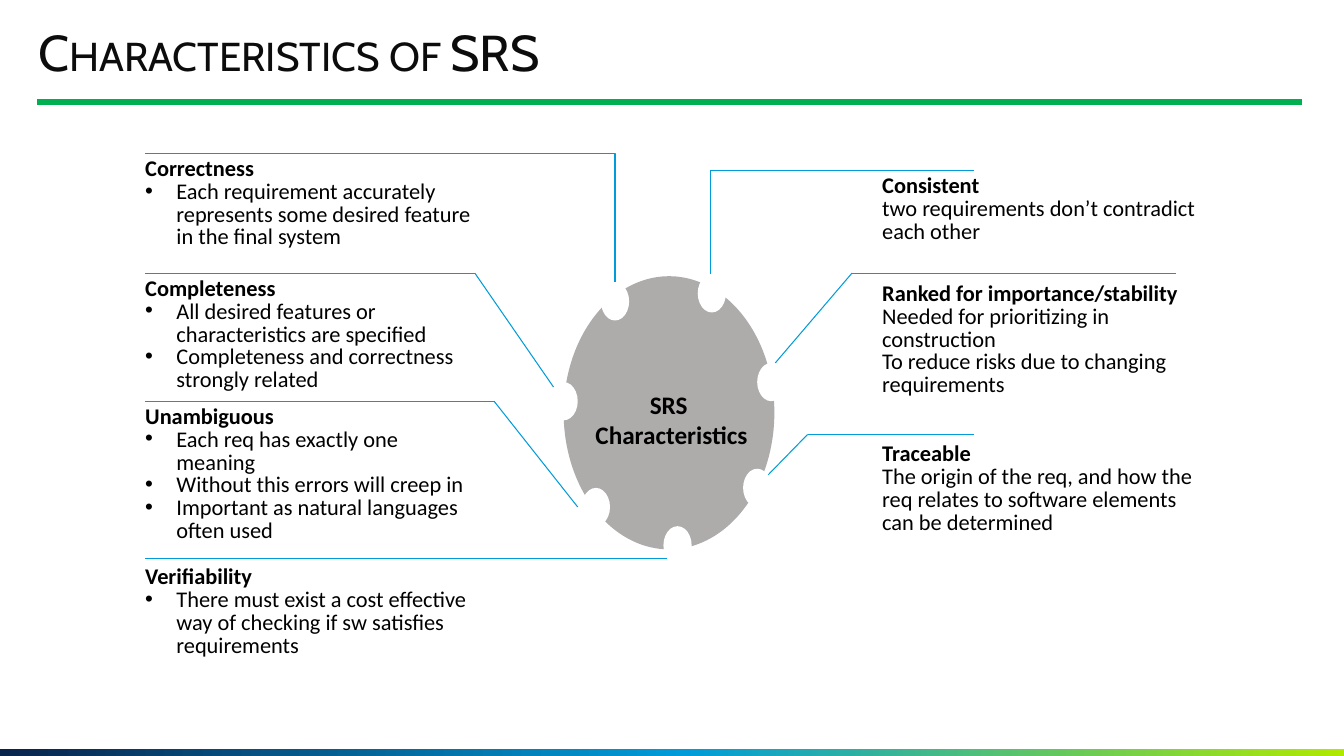
from itertools import pairwise

from lxml.etree import SubElement
from pptx import Presentation
from pptx.dml.color import RGBColor
from pptx.enum.shapes import MSO_CONNECTOR as LINE, MSO_SHAPE as SHAPE
from pptx.enum.text import MSO_ANCHOR as ANCHOR, MSO_AUTO_SIZE as FIT, PP_ALIGN as ALIGN
from pptx.oxml.ns import qn
from pptx.util import Inches, Pt

COLORS = {"title": "0C0C0C", "text": "000000", "rule": "00B050", "line": "009CDA",
          "hub": "AEABAB", "white": "FFFFFF", "navy": "09244C", "lime": "B0E900"}


class SlideBuilder:
    """Holds the style and the current slide."""

    def __init__(self, prs):
        """Add a title-only slide to the presentation."""
        self.font = "Calibri"
        self.colors = COLORS
        self.s = prs.slides.add_slide(prs.slide_layouts[5])

    def rgb(self, name):
        """Return a named colour."""
        return RGBColor.from_string(self.colors[name])

    def run(self, p, text, size, bold=False, color="text", font=None):
        """Add one styled run to a paragraph."""
        r = p.add_run()
        r.text = text
        r.font.size = Pt(size)
        r.font.bold = bold
        r.font.name = font or self.font
        r.font.color.rgb = self.rgb(color)
        return r

    def title(self, text, x, y, w, h):
        """Place the title in small capitals."""
        sp = self.s.shapes.title
        sp.left, sp.top, sp.width, sp.height = map(Inches, (x, y, w, h))
        tf = sp.text_frame
        tf.margin_left = tf.margin_right = tf.margin_top = tf.margin_bottom = 0
        tf.vertical_anchor = ANCHOR.MIDDLE
        tf.word_wrap = True
        tf.auto_size = FIT.SHAPE_TO_FIT_TEXT
        p = tf.paragraphs[0]
        p.alignment = ALIGN.LEFT
        p.line_spacing = 0.9
        r = self.run(p, text, 36, color="title", font="Cabin")
        r.font._element.set("cap", "small")

    def shape(self, kind, x, y, w, h, color):
        """Add a plain filled shape."""
        sp = self.s.shapes.add_shape(kind, *map(Inches, (x, y, w, h)))
        sp.shadow.inherit = False
        sp.line.fill.background()
        sp.fill.solid()
        sp.fill.fore_color.rgb = self.rgb(color)
        return sp

    def gradient_bar(self, x, y, w, h, stops):
        """Add a bar with a horizontal gradient."""
        sp = self.shape(SHAPE.RECTANGLE, x, y, w, h, "line")
        sp.fill.gradient()
        sp.fill.gradient_angle = 0
        gs_list = sp._element.spPr.find(".//" + qn("a:gsLst"))
        gs_list.clear()
        for percent, color in stops:
            gs = SubElement(gs_list, qn("a:gs"), pos=str(percent * 1000))
            SubElement(gs, qn("a:srgbClr"), val=self.colors[color])

    def connector(self, start, end, color="line", width=0.75, elbow=False):
        """Add a straight line, or one that turns a single corner."""
        kind = LINE.ELBOW if elbow else LINE.STRAIGHT
        c = self.s.shapes.add_connector(kind, *map(Inches, (*start, *end)))
        c.line.color.rgb = self.rgb(color)
        c.line.width = Pt(width)
        sp_pr = c._element.spPr
        SubElement(sp_pr, qn("a:effectLst"))
        if elbow:
            sp_pr.find(qn("a:prstGeom")).set("prst", "bentConnector2")

    def textbox(self, x, y, w, h):
        """Add a wrapping text box and return its frame."""
        tf = self.s.shapes.add_textbox(*map(Inches, (x, y, w, h))).text_frame
        tf.word_wrap = True
        return tf

    def bullet(self, p):
        """Give a paragraph a hanging bullet."""
        p_pr = p._p.get_or_add_pPr()
        p_pr.set("marL", str(Inches(0.31)))
        p_pr.set("indent", str(Inches(-0.31)))
        SubElement(SubElement(p_pr, qn("a:buClr")), qn("a:srgbClr"), val=self.colors["text"])
        SubElement(p_pr, qn("a:buFont"), typeface="Arial")
        SubElement(p_pr, qn("a:buChar"), char="•")

    def note(self, x, y, h, heading, lines, bulleted):
        """Add a bold heading with its explanation."""
        tf = self.textbox(x, y, 3.28, h)
        tf.margin_left = tf.margin_right = 0
        for i, text in enumerate([heading, *lines]):
            p = tf.add_paragraph() if i else tf.paragraphs[0]
            p.line_spacing = 0.85
            if i and bulleted:
                self.bullet(p)
            self.run(p, text, 16, bold=i == 0)

    def label(self, lines, x, y, w, h):
        """Add a centred bold label."""
        tf = self.textbox(x, y, w, h)
        for i, text in enumerate(lines):
            p = tf.add_paragraph() if i else tf.paragraphs[0]
            p.alignment = ALIGN.CENTER
            self.run(p, text, 18, bold=True)


LEFT_X, RIGHT_X = 1.44, 8.75
LEFT_NOTES = [
    (1.52, 1.02, "Correctness",
     ["Each requirement accurately represents some desired feature in the final system"]),
    (2.71, 1.25, "Completeness",
     ["All desired features or characteristics are specified",
      "Completeness and correctness strongly related"]),
    (3.98, 1.48, "Unambiguous",
     ["Each req has exactly one meaning", "Without this errors will creep in",
      "Important as natural languages often used"]),
    (5.57, 1.02, "Verifiability",
     ["There must exist a cost effective way of checking if sw satisfies requirements"]),
]
RIGHT_NOTES = [
    (1.69, 0.79, "Consistent", ["two requirements don’t contradict each other"]),
    (2.76, 1.25, "Ranked for importance/stability",
     ["Needed for prioritizing in construction",
      "To reduce risks due to changing requirements"]),
    (4.35, 1.02, "Traceable",
     ["The origin of the req, and how the req relates to software elements can be determined"]),
]
NOTCHES = [(5.96, 2.8), (6.92, 2.72), (5.45, 3.79), (5.77, 4.84),
           (7.51, 3.6), (7.37, 4.65), (6.58, 5.22)]
ELBOWS = [((LEFT_X, 1.52), (6.1, 2.8)), ((9.66, 1.69), (7.05, 2.72))]
LEADERS = [
    [(LEFT_X, 2.71), (4.71, 2.71), (5.49, 3.84)],
    [(LEFT_X, 3.98), (4.9, 3.98), (5.73, 5.03)],
    [(LEFT_X, 5.54), (6.62, 5.54)],
    [(11.66, 2.71), (8.45, 2.71), (7.69, 3.6)],
    [(9.66, 4.31), (8.01, 4.31), (7.62, 4.71)],
]


def main():
    """Build the slide and save it."""
    prs = Presentation()
    prs.slide_width, prs.slide_height = Inches(13.33), Inches(7.5)
    b = SlideBuilder(prs)
    b.gradient_bar(0, 7.43, 13.33, 0.07, [(0, "navy"), (51, "line"), (100, "lime")])
    b.connector((0.37, 1.01), (12.91, 1.01), "rule", 4.5)
    b.title("Characteristics of SRS", 0.38, 0.27, 11.19, 0.55)
    for x, notes, bulleted in ((LEFT_X, LEFT_NOTES, True), (RIGHT_X, RIGHT_NOTES, False)):
        for y, h, heading, lines in notes:
            b.note(x, y, h, heading, lines, bulleted)
    b.shape(SHAPE.OVAL, 5.59, 2.74, 2.09, 2.71, "hub")
    for x, y in NOTCHES:
        b.shape(SHAPE.OVAL, x, y, 0.28, 0.38, "white")
    for start, end in ELBOWS:
        b.connector(start, end, elbow=True)
    for points in LEADERS:
        for start, end in pairwise(points):
            b.connector(start, end)
    b.label(["SRS ", "Characteristics"], 5.8, 3.81, 1.72, 0.71)
    prs.save("out.pptx")


if __name__ == "__main__":
    main()
